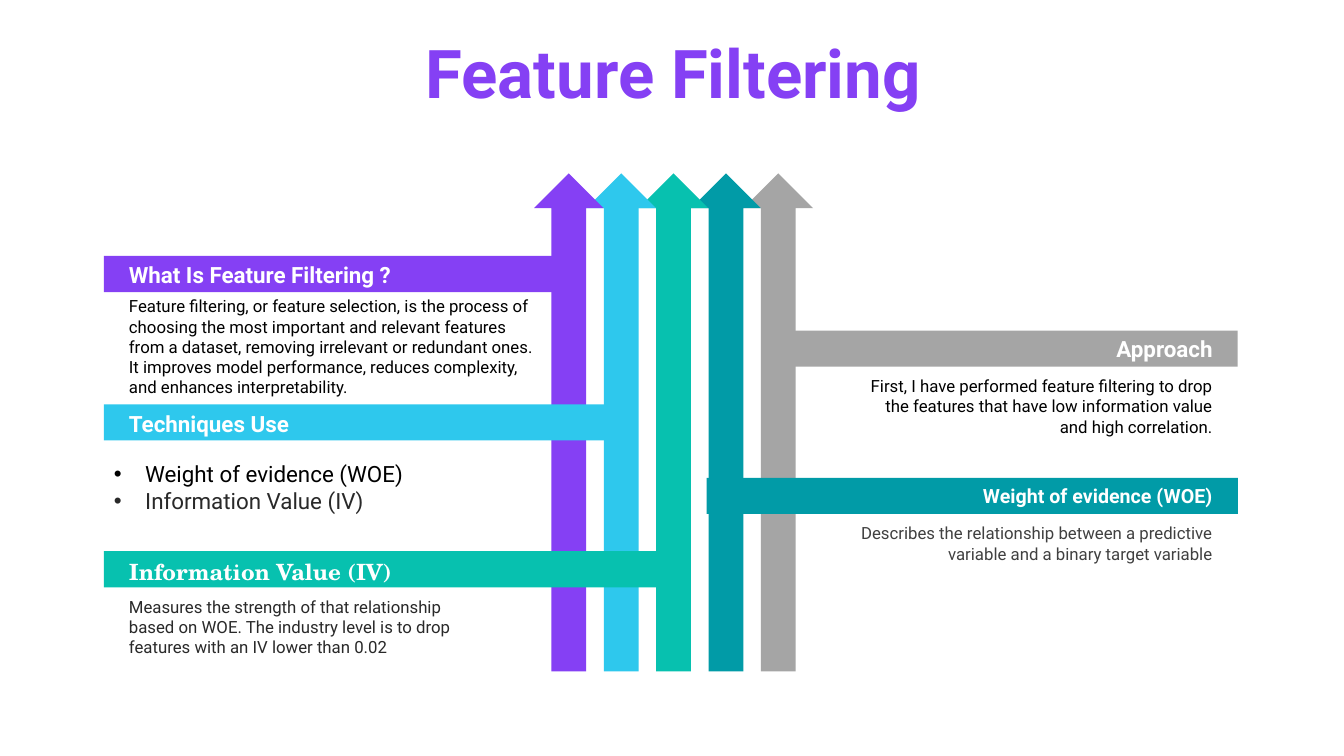
"""Build the Feature Filtering slide: five arrows, each with a labelled bar."""
from dataclasses import dataclass

from lxml import etree
from pptx import Presentation
from pptx import util as u
from pptx.dml import color
from pptx.enum import shapes, text
from pptx.oxml import ns


@dataclass(frozen=True)
class Theme:
    purple: str = "8540F4"
    cyan: str = "2EC8ED"
    green: str = "07C1AF"
    teal: str = "019BA7"
    grey: str = "A5A5A5"
    white: str = "FFFFFF"
    black: str = "000000"
    charcoal: str = "292929"
    slate: str = "404040"
    sans: str = "Roboto"
    serif: str = "TeX Gyre Schola"
    title_size: int = 48
    heading_size: int = 16
    small_heading_size: int = 14
    body_size: int = 12


@dataclass(frozen=True)
class Box:
    left: float
    top: float
    width: float
    height: float

    def lengths(self) -> tuple:
        return tuple(u.Cm(n) for n in (self.left, self.top, self.width, self.height))


@dataclass(frozen=True)
class Style:
    size: int
    colour: str
    bold: bool = False
    font: str = "Roboto"


@dataclass(frozen=True)
class Topic:
    heading: str
    heading_style: Style
    heading_top: float
    bar: Box
    colour: str
    body: str = ""
    body_style: Style | None = None
    body_box: Box | None = None
    on_right: bool = False


THEME = Theme()
HEADING = Style(THEME.heading_size, THEME.white, True, THEME.sans)
SMALL_HEADING = Style(THEME.small_heading_size, THEME.white, True, THEME.sans)
SERIF_HEADING = Style(THEME.heading_size, THEME.white, True, THEME.serif)
BLACK_BODY = Style(THEME.body_size, THEME.black)
LEFT_EDGE, LEFT_TEXT, RIGHT_TEXT, TEXT_WIDTH = 2.62, 3.0, 21.34, 9.47
BAR_HEIGHT, HEADING_HEIGHT = 0.91, 0.94
ARROW_LEFT, ARROW_PITCH = 13.46, 1.32
ARROW_COLOURS = (THEME.purple, THEME.cyan, THEME.green, THEME.teal, THEME.grey)

TOPICS = (
    Topic("Approach", HEADING, 8.33, Box(19.23, 8.33, 11.96, BAR_HEIGHT), THEME.grey,
          "First, I have performed feature filtering to drop the features that have "
          "low information value and high correlation.",
          BLACK_BODY, Box(RIGHT_TEXT, 9.35, TEXT_WIDTH, 2.31), on_right=True),
    Topic("Weight of evidence (WOE)", SMALL_HEADING, 12.07,
          Box(17.81, 12.04, 13.39, BAR_HEIGHT), THEME.teal,
          "Describes the relationship between a predictive variable and a binary "
          "target variable",
          Style(THEME.body_size, THEME.slate),
          Box(RIGHT_TEXT, 13.06, TEXT_WIDTH, 1.27), on_right=True),
    Topic("What Is Feature Filtering ?", HEADING, 6.45,
          Box(LEFT_EDGE, 6.45, 12.12, BAR_HEIGHT), THEME.purple,
          "Feature filtering, or feature selection, is the process of choosing the "
          "most important and relevant features from a dataset, removing irrelevant "
          "or redundant ones. It improves model performance, reduces complexity, and "
          "enhances interpretability.",
          BLACK_BODY, Box(LEFT_TEXT, 7.34, 10.9, 2.82)),
    Topic("Techniques Use", HEADING, 10.21,
          Box(LEFT_EDGE, 10.19, 13.44, BAR_HEIGHT), THEME.cyan),
    Topic("Information Value (IV)", SERIF_HEADING, 13.94,
          Box(LEFT_EDGE, 13.89, 14.3, BAR_HEIGHT), THEME.green,
          "Measures the strength of that relationship based on WOE. The industry "
          "level is to drop features with an IV lower than 0.02",
          Style(THEME.body_size, THEME.charcoal),
          Box(LEFT_TEXT, 14.91, TEXT_WIDTH, 1.8)),
)
TECHNIQUES = (
    ("Weight of evidence (WOE)", Style(THEME.heading_size, THEME.black)),
    ("Information Value (IV)", Style(THEME.heading_size, THEME.charcoal)),
)


def draw_shape(slide, kind: shapes.MSO_SHAPE, box: Box, colour: str) -> None:
    """Draw a flat, borderless preset shape."""
    block = slide.shapes.add_shape(kind, *box.lengths())
    block.shadow.inherit = False
    block.fill.solid()
    block.fill.fore_color.rgb = color.RGBColor.from_string(colour)
    block.line.fill.background()


def add_frame(slide, box: Box):
    """Add a wrapping text box and return its text frame."""
    frame = slide.shapes.add_textbox(*box.lengths()).text_frame
    frame.word_wrap = True
    return frame


def write(paragraph, words: str, style: Style, align: text.PP_ALIGN) -> None:
    """Add one styled run to an aligned paragraph."""
    paragraph.alignment = align
    run = paragraph.add_run()
    run.text = words
    run.font.name = style.font
    run.font.size = u.Pt(style.size)
    run.font.bold = style.bold
    run.font.color.rgb = color.RGBColor.from_string(style.colour)


def add_bullet(paragraph) -> None:
    """Give a paragraph a round bullet with a hanging indent."""
    properties = paragraph._p.get_or_add_pPr()
    indent = u.Cm(0.79)
    properties.set("marL", str(indent))
    properties.set("indent", str(-indent))
    etree.SubElement(properties, ns.qn("a:buFont"), typeface="Arial")
    etree.SubElement(properties, ns.qn("a:buChar"), char="•")


def draw_title(slide) -> None:
    """Draw the centred slide title."""
    frame = add_frame(slide, Box(0.89, 0.94, 32.16, 2.01))
    frame.vertical_anchor = text.MSO_ANCHOR.MIDDLE
    title = frame.paragraphs[0]
    title.line_spacing = 0.9
    style = Style(THEME.title_size, THEME.purple, True, THEME.sans)
    write(title, "Feature Filtering", style, text.PP_ALIGN.CENTER)


def draw_arrows(slide) -> None:
    """Draw the arrows from right to left so that each overlaps the next."""
    for column, colour in reversed(tuple(enumerate(ARROW_COLOURS))):
        box = Box(ARROW_LEFT + column * ARROW_PITCH, 4.37, 1.75, 12.55)
        draw_shape(slide, shapes.MSO_SHAPE.UP_ARROW, box, colour)


def draw_topic(slide, topic: Topic) -> None:
    """Draw a bar with its heading and, where given, its body text."""
    align = text.PP_ALIGN.RIGHT if topic.on_right else text.PP_ALIGN.LEFT
    left = RIGHT_TEXT if topic.on_right else LEFT_TEXT
    draw_shape(slide, shapes.MSO_SHAPE.RECTANGLE, topic.bar, topic.colour)
    heading = add_frame(slide, Box(left, topic.heading_top, TEXT_WIDTH, HEADING_HEIGHT))
    write(heading.paragraphs[0], topic.heading, topic.heading_style, align)
    if topic.body_box and topic.body_style:
        body = add_frame(slide, topic.body_box)
        write(body.paragraphs[0], topic.body, topic.body_style, align)


def draw_techniques(slide) -> None:
    """Draw the bulleted list of techniques."""
    frame = add_frame(slide, Box(LEFT_EDGE, 11.48, 16.94, 1.63))
    for position, (technique, style) in enumerate(TECHNIQUES):
        paragraph = frame.add_paragraph() if position else frame.paragraphs[0]
        write(paragraph, technique, style, text.PP_ALIGN.LEFT)
        add_bullet(paragraph)


def main() -> None:
    """Build and save the presentation."""
    deck = Presentation()
    deck.slide_width, deck.slide_height = u.Cm(33.87), u.Cm(19.05)
    slide = deck.slides.add_slide(deck.slide_layouts[6])
    draw_title(slide)
    draw_arrows(slide)
    for topic in TOPICS:
        draw_topic(slide, topic)
    draw_techniques(slide)
    deck.save("out.pptx")


if __name__ == "__main__":
    main()
